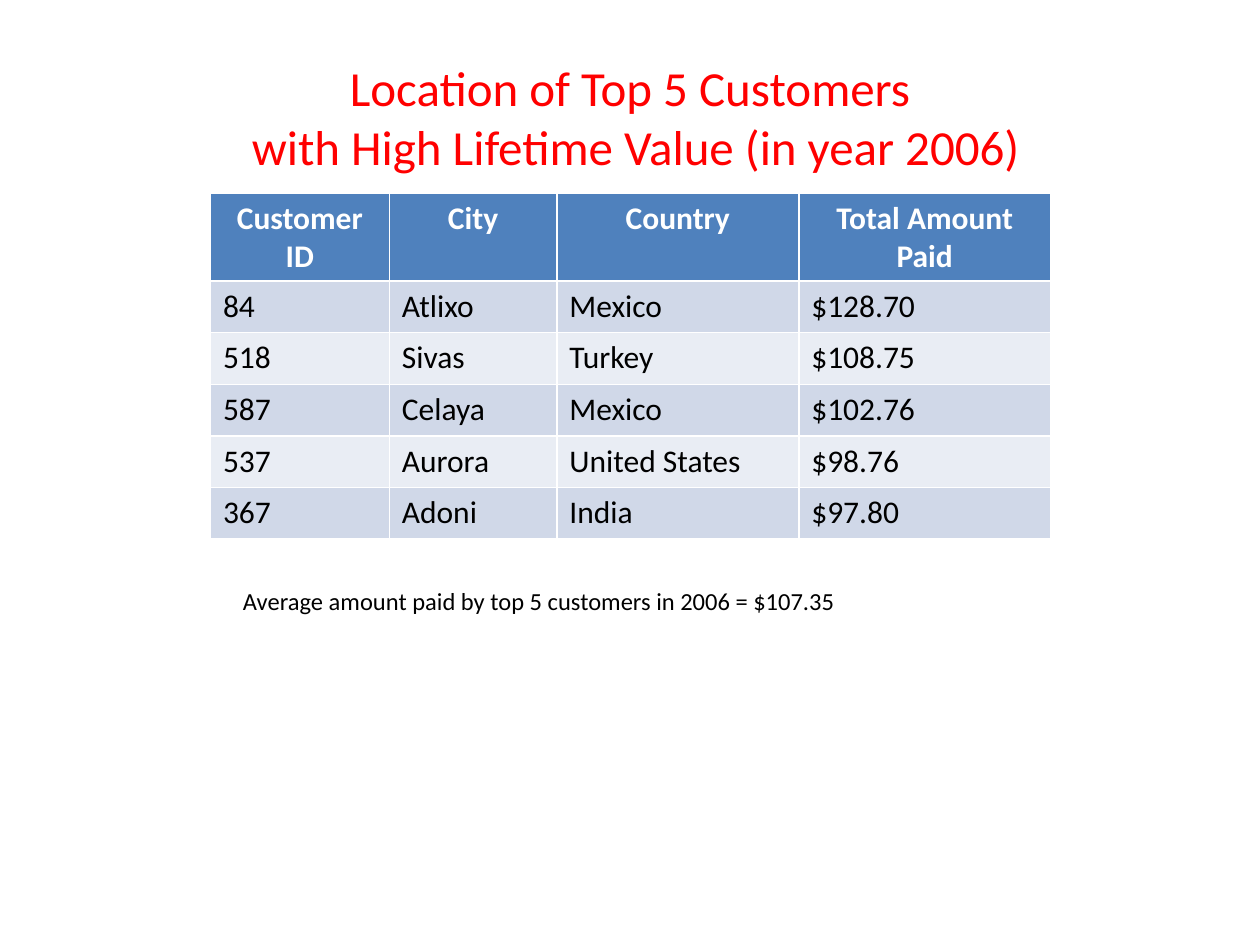
from dataclasses import dataclass

from pptx import Presentation
from pptx.dml.color import RGBColor
from pptx.enum import text
from pptx.util import Inches, Pt


@dataclass(frozen=True)
class Theme:
    font: str = "Calibri"
    title: str = "FF0000"
    body: str = "000000"
    header_text: str = "FFFFFF"
    header_fill: str = "4F81BD"
    bands: tuple = ("D0D8E8", "E9EDF4")
    title_size: int = 28
    table_size: int = 18
    note_size: int = 14


THEME = Theme()

HEADINGS = ("Customer ID", "City", "Country", "Total Amount Paid")
CUSTOMERS = (
    ("84", "Atlixo", "Mexico", "$128.70"),
    ("518", "Sivas", "Turkey", "$108.75"),
    ("587", "Celaya", "Mexico", "$102.76"),
    ("537", "Aurora", "United States", "$98.76"),
    ("367", "Adoni", "India", "$97.80"),
)
COLUMN_WIDTHS = (1.42, 1.33, 1.92, 2)
ROW_HEIGHT = 0.41


def style_text(frame, size, color, bold=False, align=None):
    for paragraph in frame.paragraphs:
        paragraph.alignment = align
        paragraph.font.name = THEME.font
        paragraph.font.size = Pt(size)
        paragraph.font.bold = bold
        paragraph.font.color.rgb = RGBColor.from_string(color)


def add_title(slide, wording):
    title = slide.shapes.title
    title.left, title.top = Inches(0.5), Inches(0.3)
    title.width, title.height = Inches(9), Inches(1.25)
    title.text_frame.text = wording
    title.text_frame.vertical_anchor = text.MSO_ANCHOR.MIDDLE
    style_text(title.text_frame, THEME.title_size, THEME.title,
               align=text.PP_ALIGN.CENTER)


def fill_cell(cell, wording, fill, color, **style):
    cell.text = wording
    cell.fill.solid()
    cell.fill.fore_color.rgb = RGBColor.from_string(fill)
    style_text(cell.text_frame, THEME.table_size, color, **style)


def add_customer_table(slide):
    row_count = len(CUSTOMERS) + 1
    # The default table style supplies the white cell borders
    table = slide.shapes.add_table(
        row_count, len(HEADINGS), Inches(1.67), Inches(1.53),
        Inches(sum(COLUMN_WIDTHS)), Inches(ROW_HEIGHT * row_count)).table
    for column, width in zip(table.columns, COLUMN_WIDTHS):
        column.width = Inches(width)
    for row in table.rows:
        row.height = Inches(ROW_HEIGHT)

    # Header row
    for col, heading in enumerate(HEADINGS):
        fill_cell(table.cell(0, col), heading, THEME.header_fill,
                  THEME.header_text, bold=True, align=text.PP_ALIGN.CENTER)

    # Banded customer rows
    for index, customer in enumerate(CUSTOMERS):
        band = THEME.bands[index % len(THEME.bands)]
        for col, value in enumerate(customer):
            fill_cell(table.cell(index + 1, col), value, band, THEME.body)


def add_note(slide, wording):
    note = slide.shapes.add_textbox(
        Inches(1.83), Inches(4.6), Inches(6.08), Inches(0.34)).text_frame
    note.word_wrap = True
    note.auto_size = text.MSO_AUTO_SIZE.SHAPE_TO_FIT_TEXT
    note.text = wording
    style_text(note, THEME.note_size, THEME.body)


def main():
    deck = Presentation()
    deck.slide_width, deck.slide_height = Inches(10), Inches(7.5)
    title_only = deck.slide_layouts[5]
    slide = deck.slides.add_slide(title_only)

    add_title(slide, "Location of Top 5 Customers\v"
                     " with High Lifetime Value (in year 2006)")
    add_note(slide, "Average amount paid by top 5 customers in 2006 = $107.35")
    add_customer_table(slide)

    deck.save("out.pptx")


if __name__ == "__main__":
    main()
